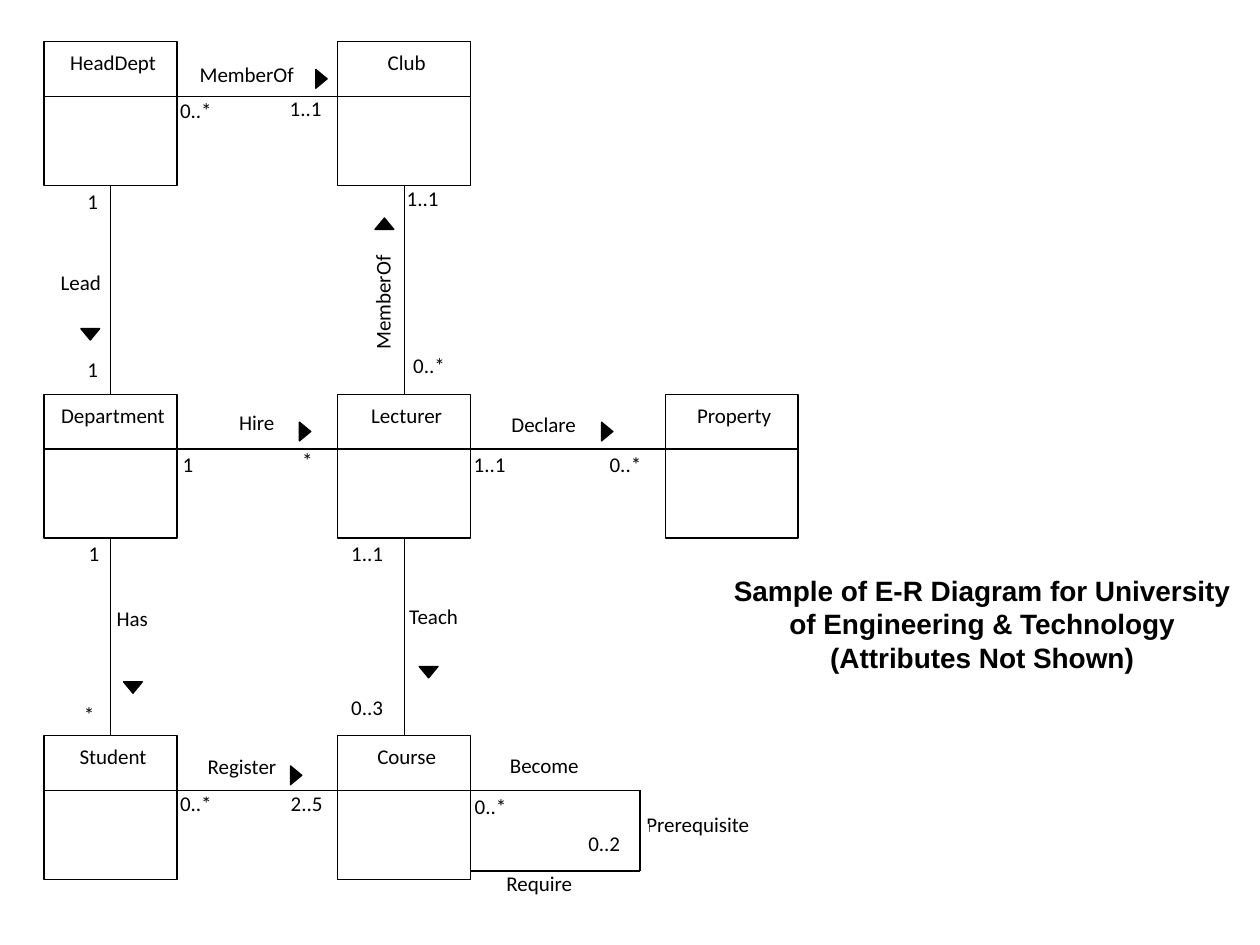
import dataclasses

import pptx
import pptx.dml.color
import pptx.enum.shapes
import pptx.enum.text
import pptx.oxml
import pptx.util

Cm = pptx.util.Cm
Pt = pptx.util.Pt
SHAPES = pptx.enum.shapes.MSO_SHAPE
ALIGN = pptx.enum.text.PP_ALIGN

BLACK = pptx.dml.color.RGBColor(0x00, 0x00, 0x00)
WHITE = pptx.dml.color.RGBColor(0xFF, 0xFF, 0xFF)
LINE_WIDTH = Pt(0.75)

# Lengths in centimetres
COLUMNS = (0.89, 6.81, 13.41)
ROWS = (0.84, 7.95, 14.83)
ENTITY_WIDTH, ENTITY_HEIGHT, HEADER_HEIGHT = 2.68, 2.9, 1.1
ARROW_BASE, ARROW_HEIGHT = 0.38, 0.23
RIGHT, DOWN, UP = 90, 180, 0

# Entity name: column, row
ENTITIES = {
    "HeadDept": (0, 0), "Club": (1, 0),
    "Department": (0, 1), "Lecturer": (1, 1), "Property": (2, 1),
    "Student": (0, 2), "Course": (1, 2),
}


@dataclasses.dataclass
class Label:
    """Text placed relative to the start of its relation line."""
    text: str
    x: float
    y: float
    width: float
    height: float = 1.0
    align: object = ALIGN.LEFT
    rotation: int = 0


# From, to, arrow direction, arrow centre, labels
RELATIONS = (
    ("HeadDept", "Club", RIGHT, (2.91, -0.35), (
        Label("MemberOf", -0.12, -0.82, 3.05, align=ALIGN.CENTER),
        Label("0..*", -0.19, -0.09, 1.5),
        Label("1..1", 2.02, -0.14, 1.47))),
    ("Department", "Lecturer", RIGHT, (2.58, -0.35), (
        Label("Hire", 1.0, -0.92, 1.83),
        Label("1", -0.14, -0.08, 0.81),
        Label("*", 2.27, -0.16, 1.02))),
    ("Lecturer", "Property", RIGHT, (2.75, -0.35), (
        Label("Declare", 0.57, -0.87, 2.41),
        Label("1..1", -0.19, -0.08, 1.8),
        Label("0..*", 2.55, -0.08, 1.8))),
    ("Student", "Course", RIGHT, (2.4, -0.3), (
        Label("0..*", -0.19, -0.11, 1.42),
        Label("2..5", 2.04, -0.11, 1.42),
        Label("Register", 0.19, -0.87, 2.24, align=ALIGN.CENTER))),
    ("HeadDept", "Department", DOWN, (-0.41, 3.0), (
        Label("Lead", -1.91, 1.57, 2.62, 0.81, align=ALIGN.CENTER),
        Label("1", -0.72, -0.06, 0.81),
        Label("1", -0.72, 3.32, 0.81))),
    ("Department", "Student", DOWN, (0.45, 3.01), (
        Label("Has", -0.13, 1.24, 1.55),
        Label("1", -0.69, -0.08, 0.81),
        Label("*", -0.79, 3.17, 1.02))),
    ("Club", "Lecturer", UP, (-0.4, 0.77), (
        Label("MemberOf", -2.38, 1.34, 3.78, 0.66, rotation=270),
        Label("1..1", -0.2, -0.13, 1.47),
        Label("0..*", -0.07, 3.25, 1.55))),
    ("Lecturer", "Course", DOWN, (0.49, 2.7), (
        Label("1..1", -1.32, -0.08, 1.8),
        Label("0..3", -1.32, 3.02, 1.8),
        Label("Teach", -0.15, 1.19, 1.83, 0.53))),
)
PREREQUISITE_LABELS = (
    Label("Prerequisite", 3.29, 0.3, 3.15),
    Label("Require", 0.47, 1.49, 3.05),
    Label("0..2", 2.12, 0.68, 1.47),
    Label("0..*", -0.17, -0.05, 1.4),
    Label("Become", 0.54, -0.89, 2.34),
)


def write(frame, text, *, font="Calibri", size=12, bold=False,
          align=ALIGN.LEFT, space_after=10):
    frame.word_wrap = True
    frame.vertical_anchor = pptx.enum.text.MSO_ANCHOR.TOP
    frame.text = text
    for paragraph in frame.paragraphs:
        paragraph.alignment = align
        paragraph.space_after = Pt(space_after)
        paragraph.font.name = font
        paragraph.font.size = Pt(size)
        paragraph.font.bold = bold
        paragraph.font.color.rgb = BLACK


def add_line(slide, x1, y1, x2, y2):
    line = slide.shapes.add_connector(
        pptx.enum.shapes.MSO_CONNECTOR.STRAIGHT, Cm(x1), Cm(y1), Cm(x2), Cm(y2))
    line.line.color.rgb = BLACK
    line.line.width = LINE_WIDTH
    properties = line._element.spPr
    properties.append(properties.makeelement(pptx.oxml.ns.qn("a:effectLst"), {}))


def add_outlined(slide, preset, box, fill):
    shape = slide.shapes.add_shape(preset, *map(Cm, box))
    shape.shadow.inherit = False
    shape.fill.solid()
    shape.fill.fore_color.rgb = fill
    shape.line.color.rgb = BLACK
    shape.line.width = LINE_WIDTH
    return shape


def add_labels(slide, x, y, labels):
    for label in labels:
        caption = slide.shapes.add_textbox(
            Cm(x + label.x), Cm(y + label.y), Cm(label.width), Cm(label.height))
        caption.fill.solid()
        caption.fill.fore_color.rgb = WHITE
        caption.rotation = label.rotation
        write(caption.text_frame, label.text, align=label.align)


def entity_box(name):
    column, row = ENTITIES[name]
    return COLUMNS[column], ROWS[row], ENTITY_WIDTH, ENTITY_HEIGHT


def relation_box(start, end):
    """Return the gap between two entities, as a box without thickness."""
    left, top, width, height = entity_box(start)
    end_left, end_top, _, _ = entity_box(end)
    if top == end_top:
        return left + width, top + HEADER_HEIGHT, end_left - left - width, 0
    return left + width / 2, top + height, 0, end_top - top - height


def add_relation(slide, box, direction, arrow_centre, labels):
    left, top, width, height = box
    add_labels(slide, left, top, labels)
    add_line(slide, left, top, left + width, top + height)
    arrow_box = (left + arrow_centre[0] - ARROW_BASE / 2,
                 top + arrow_centre[1] - ARROW_HEIGHT / 2,
                 ARROW_BASE, ARROW_HEIGHT)
    arrow = add_outlined(slide, SHAPES.ISOSCELES_TRIANGLE, arrow_box, BLACK)
    arrow.rotation = direction


def add_prerequisite_loop(slide, box):
    left, top, width, height = box
    right, bottom = left + width, top + height
    add_labels(slide, left, top, PREREQUISITE_LABELS)
    add_line(slide, left, top, right, top)
    add_line(slide, right, top, right, bottom)
    add_line(slide, left, bottom, right, bottom)


def add_entity(slide, box, name):
    left, top, width, _ = box
    add_outlined(slide, SHAPES.RECTANGLE, box, WHITE)
    divider = top + HEADER_HEIGHT
    add_line(slide, left, divider, left + width, divider)
    header = slide.shapes.add_textbox(
        Cm(left + 0.05), Cm(top + 0.04), Cm(width), Cm(1))
    write(header.text_frame, name, align=ALIGN.CENTER)


def place_title(slide, box):
    title = slide.shapes.title
    title.left, title.top, title.width, title.height = map(Cm, box)
    write(title.text_frame,
          "Sample of E-R Diagram for University of Engineering & Technology\n"
          "(Attributes Not Shown)",
          font="Arial", size=16, bold=True, align=ALIGN.CENTER, space_after=0)
    title.text_frame.auto_size = pptx.enum.text.MSO_AUTO_SIZE.SHAPE_TO_FIT_TEXT


def main():
    deck = pptx.Presentation()
    deck.slide_width, deck.slide_height = Cm(25.4), Cm(19.05)
    slide = deck.slides.add_slide(deck.slide_layouts.get_by_name("Title Only"))
    place_title(slide, (14.4, 11.43, 10.8, 2.29))
    left, top, width, _ = entity_box("Course")
    add_prerequisite_loop(slide, (left + width, top + HEADER_HEIGHT, 3.41, 1.63))
    for start, end, direction, arrow_centre, labels in RELATIONS:
        add_relation(slide, relation_box(start, end), direction, arrow_centre, labels)
    for name in ENTITIES:
        add_entity(slide, entity_box(name), name)
    deck.save("out.pptx")


if __name__ == "__main__":
    main()
